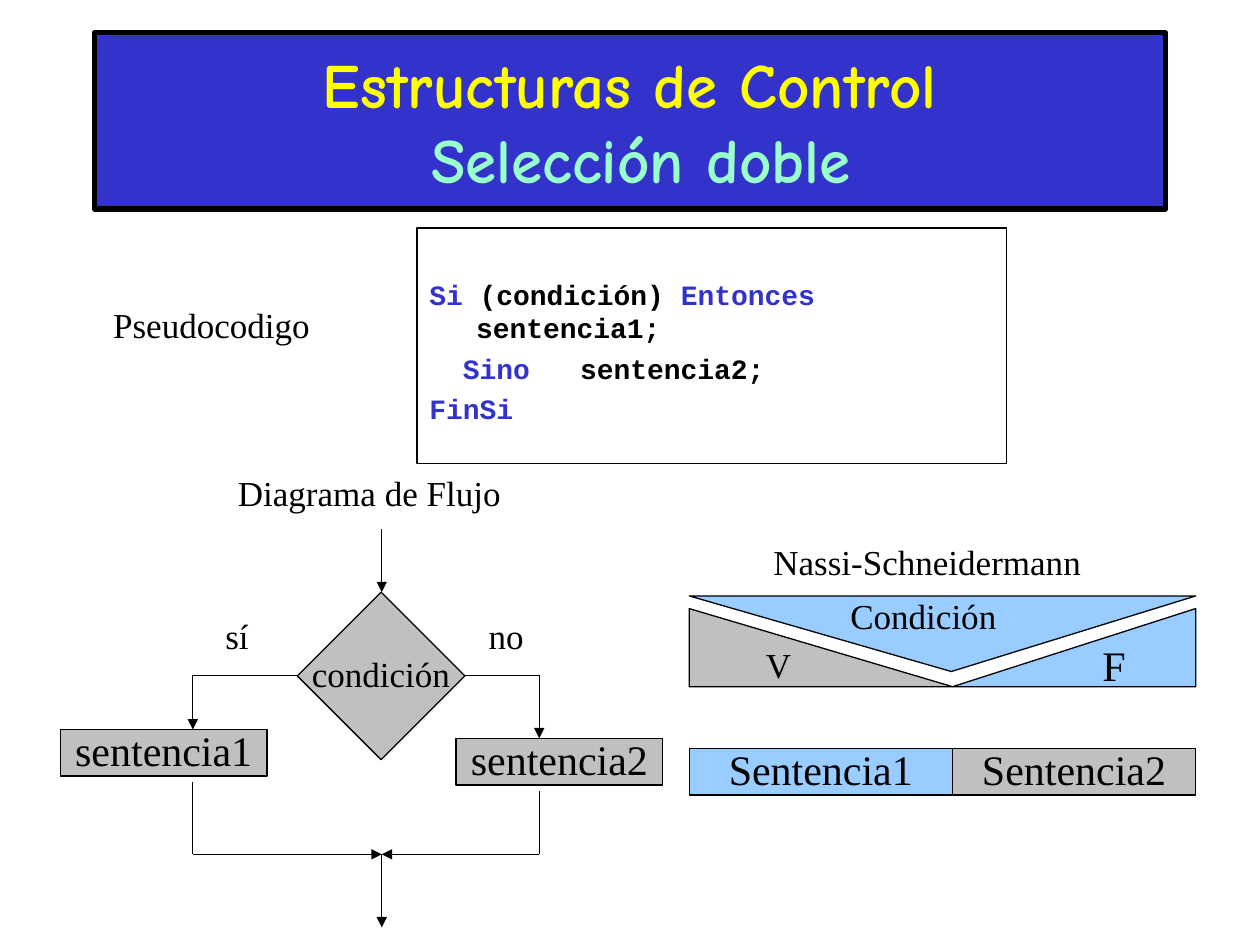
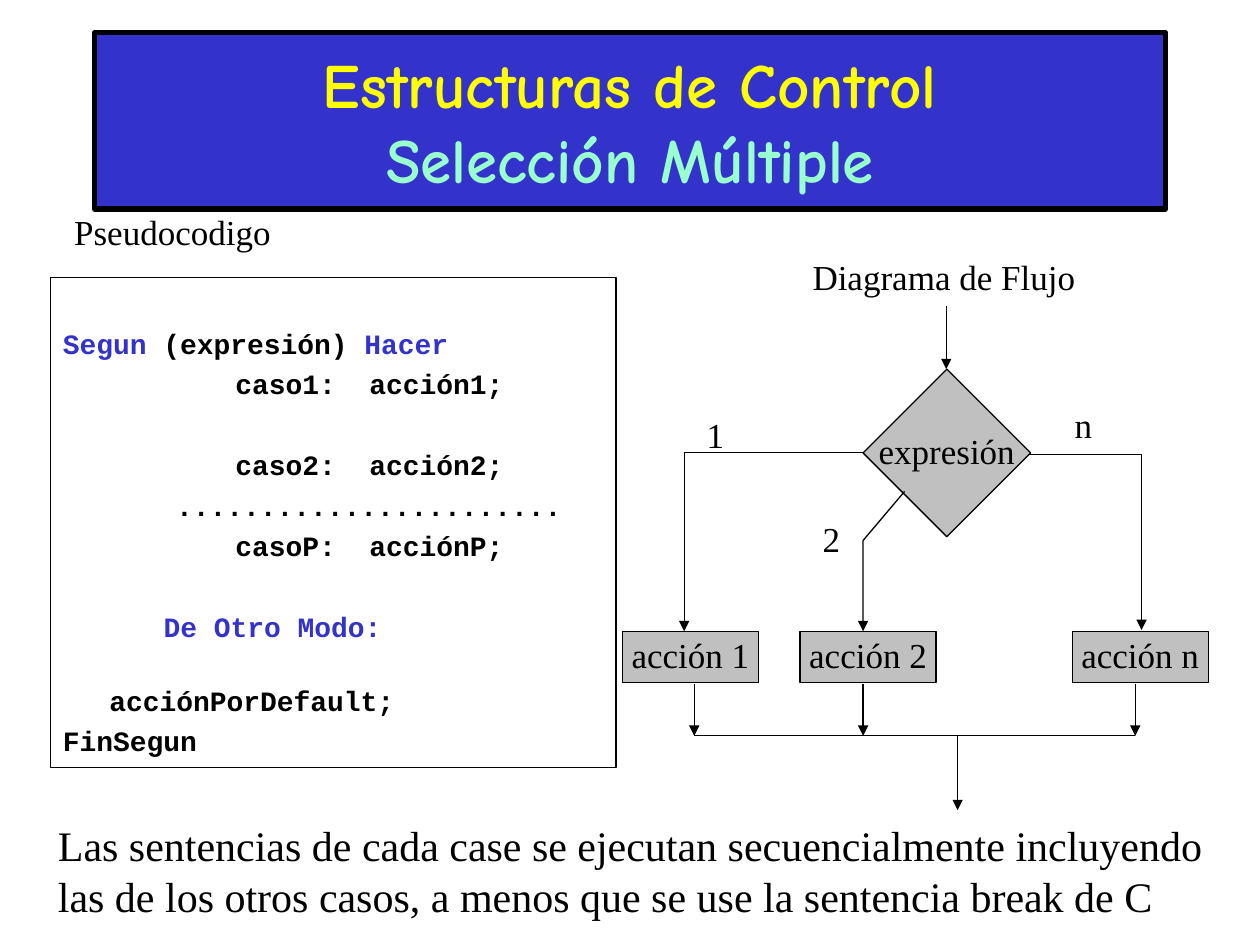
import pptx
import pptx.util
import pptx.oxml
import pptx.oxml.ns
from pptx.dml.color import RGBColor
from pptx.enum.shapes import MSO_CONNECTOR, MSO_SHAPE
from pptx.enum.text import MSO_ANCHOR, PP_ALIGN

# Shared style; 100 px to the inch
PX = 9144
BLUE = RGBColor(0x33, 0x33, 0xCC)
YELLOW = RGBColor(0xFF, 0xFF, 0x00)
MINT = RGBColor(0x99, 0xFF, 0xCC)
SKY = RGBColor(0x99, 0xCC, 0xFF)
GRAY = RGBColor(0xC0, 0xC0, 0xC0)
BLACK = RGBColor(0, 0, 0)
COMIC, MONO, SERIF = "Comic Neue", "Courier New", "Times New Roman"
TIGHT = 0.93
GAP = 3.9    # points between code lines
HANG = 37    # px that a wrapped code line steps in


class Deck:
    def __init__(self):
        self.prs = pptx.Presentation()
        self.prs.slide_width = 1000 * PX
        self.prs.slide_height = 750 * PX
        self.slide = None

    def start(self, second):
        """Add a slide with the title band."""
        self.slide = self.prs.slides.add_slide(self.prs.slide_layouts[6])
        band = self.shape(75, 26, 850, 140, BLUE, width=3)
        frame = self.frame(band, (10, 5, 10, 5), MSO_ANCHOR.MIDDLE)
        para = frame.paragraphs[0]
        para.alignment = PP_ALIGN.CENTER
        self.run(para, "Estructuras de Control", 36, YELLOW, COMIC, True)
        para.add_line_break()
        self.run(para, second, 36, MINT, COMIC, True)

    def run(self, para, text, size, color=BLACK, font=SERIF, bold=False):
        run = para.add_run()
        run.text = text
        run.font.size = pptx.util.Pt(size)
        run.font.name = font
        run.font.bold = bold
        run.font.color.rgb = color

    def frame(self, shape, pads, anchor=MSO_ANCHOR.TOP, wrap=True):
        frame = shape.text_frame
        frame.word_wrap = wrap
        frame.vertical_anchor = anchor
        (frame.margin_left, frame.margin_top,
         frame.margin_right, frame.margin_bottom) = [pad * PX for pad in pads]
        return frame

    def paint(self, shape, fill, width=0.75):
        shape.shadow.inherit = False
        if fill is None:
            shape.fill.background()
        else:
            shape.fill.solid()
            shape.fill.fore_color.rgb = fill
        self.ink(shape, width)

    def ink(self, shape, width=0.75, arrow=False):
        shape.line.color.rgb = BLACK
        shape.line.width = pptx.util.Pt(width)
        if arrow:
            line = shape.element.spPr.find(pptx.oxml.ns.qn("a:ln"))
            line.append(pptx.oxml.parse_xml(
                '<a:tailEnd %s type="triangle" w="med" len="med"/>'
                % pptx.oxml.ns.nsdecls("a")))

    def shape(self, x, y, w, h, fill, kind=MSO_SHAPE.RECTANGLE, width=0.75):
        shape = self.slide.shapes.add_shape(kind, x * PX, y * PX, w * PX, h * PX)
        self.paint(shape, fill, width)
        return shape

    def node(self, x, y, w, h, text, size=24, fill=GRAY, kind=MSO_SHAPE.RECTANGLE):
        """A filled shape with a centred label."""
        shape = self.shape(x, y, w, h, fill, kind)
        frame = self.frame(shape, (0, 0, 0, 0), MSO_ANCHOR.MIDDLE, False)
        para = frame.paragraphs[0]
        para.alignment = PP_ALIGN.CENTER
        para.line_spacing = TIGHT
        self.run(para, text, size)

    def label(self, x, y, w, lines, size=20, pads=(10, 5, 10, 5)):
        box = self.slide.shapes.add_textbox(
            x * PX, y * PX, w * PX, 41 * len(lines) * PX)
        frame = self.frame(box, pads)
        for i, text in enumerate(lines):
            para = frame.add_paragraph() if i else frame.paragraphs[0]
            para.line_spacing = 1.0 if i else TIGHT
            self.run(para, text, size)

    def code(self, x, y, w, h, lines):
        """A framed listing; each line is (indent, space before, runs)."""
        frame = self.frame(self.shape(x, y, w, h, None), (10, 39, 10, 5))
        for i, (left, gap, runs) in enumerate(lines):
            para = frame.add_paragraph() if i else frame.paragraphs[0]
            para.alignment = PP_ALIGN.LEFT
            props = para._p.get_or_add_pPr()
            props.set("marL", str(HANG * PX))
            props.set("indent", str((left - HANG) * PX))
            para.space_before = pptx.util.Pt(gap if i else 0)
            for text, color in runs:
                self.run(para, text, 16, color, MONO, True)

    def line(self, x1, y1, x2, y2, arrow=False):
        line = self.slide.shapes.add_connector(
            MSO_CONNECTOR.STRAIGHT, x1 * PX, y1 * PX, x2 * PX, y2 * PX)
        self.ink(line, arrow=arrow)
        line.element.spPr.append(pptx.oxml.parse_xml(
            "<a:effectLst %s/>" % pptx.oxml.ns.nsdecls("a")))

    def poly(self, points, fill=None):
        """A closed outline when filled, else a bent arrow."""
        build = self.slide.shapes.build_freeform(*points[0], scale=PX)
        build.add_line_segments(points[1:], close=fill is not None)
        shape = build.convert_to_shape()
        self.paint(shape, fill)
        if fill is None:
            self.ink(shape, arrow=True)


def double(deck):
    deck.start(" Selección doble")

    # Pseudocode
    deck.code(331, 181, 468, 187, [
        (0, 0, [("Si", BLUE), (" (condición) ", BLACK),
                ("Entonces", BLUE), (" sentencia1;", BLACK)]),
        (0, GAP, [("  Sino", BLUE), ("   sentencia2;", BLACK)]),
        (0, GAP, [("FinSi", BLUE)]),
    ])
    deck.label(80, 239, 190, ["Pseudocodigo"])

    # Flow chart
    deck.label(179, 372, 277, ["Diagrama de Flujo"])
    deck.node(236, 470, 133, 133, "condición", 20, kind=MSO_SHAPE.DIAMOND)
    deck.line(303, 420, 303, 470, True)
    deck.line(303, 678, 303, 736, True)
    for side, mid, top, text in ((236, 153, 579, "sentencia1"),
                                 (369, 428, 586, "sentencia2")):
        deck.line(side, 536, mid, 536)
        deck.line(mid, 536, mid, top, True)
        deck.line(mid, top + 42, mid, 678)
        deck.line(mid, 678, 303, 678, True)
        deck.node(48 if mid < 303 else 362, top, 164, 37, text)
    deck.label(169, 486, 58, ["sí"])
    deck.label(378, 486, 50, ["no"])

    # Nassi-Schneidermann diagram
    left, mid, right = 547, 756, 949
    deck.label(604, 427, 290, ["Nassi-Schneidermann"])
    deck.poly([(755, 533), (right, 473), (left, 473)], SKY)
    deck.poly([(left, 483), (mid, 545), (left, 545)], GRAY)
    deck.poly([(right, 483), (mid, 545), (right, 545)], SKY)
    deck.label(665, 470, 179, ["Condición"])
    deck.label(598, 509, 40, ["V"])
    deck.label(865, 506, 40, ["F"], 24)
    deck.node(left, 594, mid - left, 37, "Sentencia1", fill=SKY)
    deck.node(mid, 594, right - mid, 37, "Sentencia2")


def multiple(deck):
    deck.start("Selección Múltiple")

    # Pseudocode
    deck.label(49, 165, 190, ["Pseudocodigo"])
    deck.code(40, 220, 449, 389, [
        (0, 0, [("Segun", BLUE), (" (expresión) ", BLACK), ("Hacer", BLUE)]),
        (137, GAP, [("caso1:  acción1;", BLACK)]),
        (137, 27, [("caso2:  acción2;", BLACK)]),
        (90, GAP, [("." * 23, BLACK)]),
        (137, GAP, [("casoP:  acciónP;", BLACK)]),
        (80, 27, [("De Otro Modo:", BLUE)]),
        (37, 23, [("acciónPorDefault;", BLACK)]),
        (0, GAP, [("FinSegun", BLACK)]),
    ])

    # Flow chart
    deck.label(635, 201, 242, ["Diagrama de Flujo"])
    deck.line(751, 243, 751, 293, True)
    deck.node(685, 293, 133, 133, "expresión", 20, kind=MSO_SHAPE.DIAMOND)
    deck.line(685, 359, 543, 359)
    deck.line(543, 359, 543, 501, True)
    deck.poly([(718, 390), (685, 429), (685, 501)])
    deck.poly([(817, 361), (906, 361), (906, 500)])
    for x, y, case in ((551, 326, "1"), (643, 409, "2"), (843, 318, "n")):
        deck.label(x, y, 33, [case])
    for x, out, case in ((494, 551, "1"), (635, 685, "2"), (851, 901, "n")):
        deck.node(x, 501, 108, 41, "acción " + case, 20)
        deck.line(out, 543, out, 584, True)
    deck.line(551, 584, 901, 584)
    deck.line(760, 584, 760, 643, True)

    # Closing remark
    deck.label(46, 654, 940, [
        "Las sentencias de cada case se ejecutan secuencialmente incluyendo",
        "las de los otros casos, a menos que se use la sentencia break de C",
    ], 24, (0, 0, 0, 0))


def main():
    deck = Deck()
    double(deck)
    multiple(deck)
    deck.prs.save("out.pptx")


if __name__ == "__main__":
    main()
